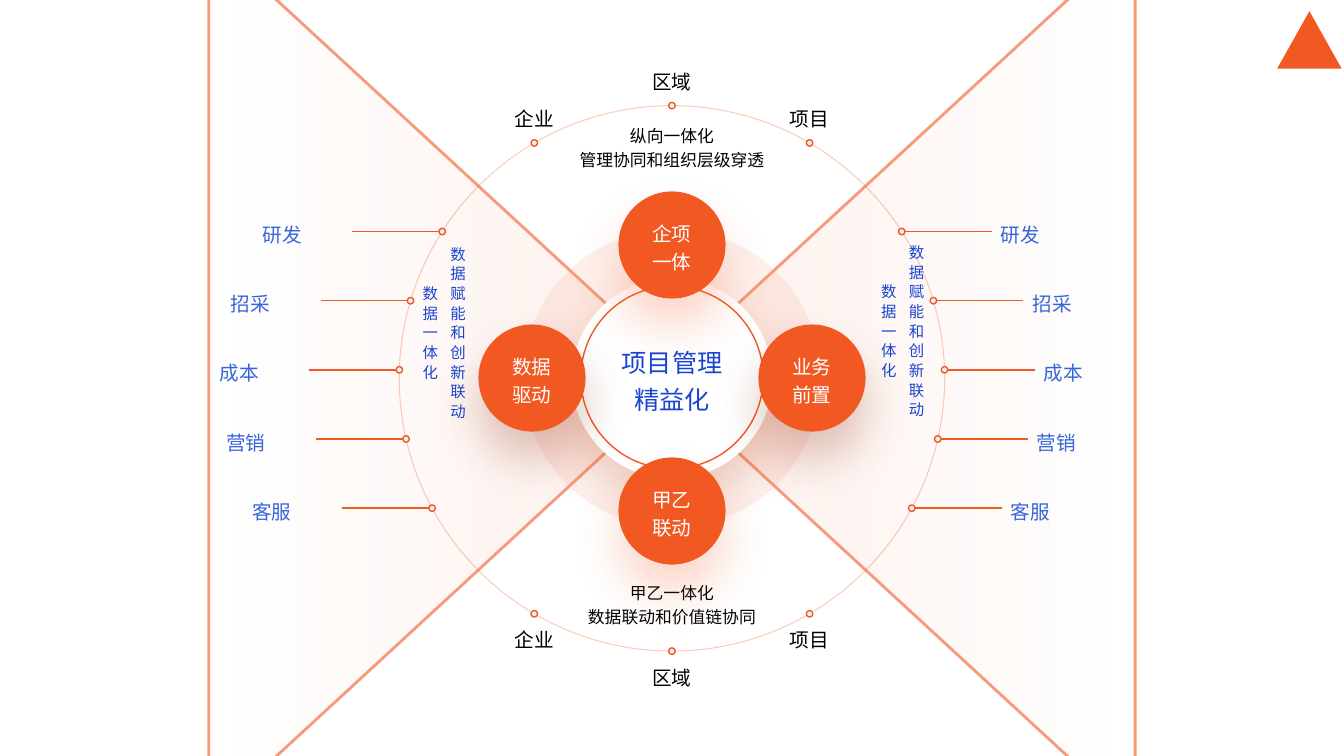
from math import sqrt

from lxml import etree
from pptx import Presentation
from pptx.dml.color import RGBColor
from pptx.enum.shapes import MSO_CONNECTOR, MSO_SHAPE
from pptx.enum.text import MSO_ANCHOR, MSO_AUTO_SIZE, PP_ALIGN
from pptx.oxml import parse_xml
from pptx.oxml.ns import qn
from pptx.util import Pt

OVAL, TRIANGLE = MSO_SHAPE.OVAL, MSO_SHAPE.ISOSCELES_TRIANGLE
STRAIGHT = MSO_CONNECTOR.STRAIGHT
MIDDLE, FIT = MSO_ANCHOR.MIDDLE, MSO_AUTO_SIZE.SHAPE_TO_FIT_TEXT
LEFT, CENTER = PP_ALIGN.LEFT, PP_ALIGN.CENTER
DRAWING = "http://schemas.openxmlformats.org/drawingml/2006/main"
FONT = "Calibri"

COLORS = {
    "orange": "F25822", "edge": "F79A7A", "halo": "FCDED3", "white": "FFFFFF",
    "dot": "EBF0F9", "blue": "1A45D1", "label": "3665D9", "black": "000000",
    "soft shadow": "AE340A", "dark shadow": "822808", "warm shadow": "F3602D",
}

CORE = "项目管理\n精益化"
PILLARS = [
    ("业务\n前置", 100, 0, "dark shadow"),
    ("数据\n驱动", -100, 0, "dark shadow"),
    ("甲乙\n联动", 0, 95, "warm shadow"),
    ("企项\n一体", 0, -95, "warm shadow"),
]
FUNCTIONS = ["研发", "招采", "成本", "营销", "客服"]
LEVELS = [("企业", -98.3), ("区域", 0), ("项目", 98.3)]
CAPTIONS = [
    ("纵向一体化\n管理协同和组织层级穿透", 104, 148),
    ("甲乙一体化\n数据联动和价值链协同", 430, 136),
]
DATA_TEXT = "数据赋能和创新联动\n数据一体化"
DATA_BOXES = [(288.7, 169.2), (616.3, 167.8)]

WIDTH, HEIGHT = 960, 540
MID_X, MID_Y = 480, 270.3
RADIUS = 194.8
DOT = 4.6
FIRST_ROW, ROW_GAP = 165.4, 49.4
LEADER, LABEL_WIDTH, LABEL_HEIGHT = 62, 70.6, 26
WING_BASE, WING_DEPTH, WING_OFFSET = 629.3, 341.3, 160.2

deck = Presentation()
deck.slide_width, deck.slide_height = Pt(WIDTH), Pt(HEIGHT)
page = deck.slides.add_slide(deck.slide_layouts[6])


def color(name):
    return RGBColor.from_string(COLORS[name])


def set_alpha(fill_parent, percent):
    tint = fill_parent.find(".//" + qn("a:srgbClr"))
    etree.SubElement(tint, qn("a:alpha")).set("val", str(percent * 1000))


def add_figure(kind, x, y, width, height, fill=None, line=None, weight=1):
    figure = page.shapes.add_shape(kind, Pt(x - width / 2), Pt(y - height / 2), Pt(width), Pt(height))
    figure.shadow.inherit = False
    if fill:
        figure.fill.solid()
        figure.fill.fore_color.rgb = color(fill)
    else:
        figure.fill.background()
    if line:
        figure.line.color.rgb = color(line)
        figure.line.width = Pt(weight)
    else:
        figure.line.fill.background()
    return figure


def add_circle(x, y, size, fill=None, line=None, weight=1):
    return add_figure(OVAL, x, y, size, size, fill, line, weight)


def add_shadow(figure, name, alpha, blur, distance):
    effects = figure._element.spPr.find(qn("a:effectLst"))
    effects.append(parse_xml(
        f'<a:outerShdw xmlns:a="{DRAWING}" blurRad="{Pt(blur)}" dist="{Pt(distance)}" '
        f'dir="5400000" algn="t" rotWithShape="0"><a:srgbClr val="{COLORS[name]}">'
        f'<a:alpha val="{alpha * 1000}"/></a:srgbClr></a:outerShdw>'))


def write(frame, text, size, name, align=CENTER, spacing=1.0):
    frame.text = text
    for para in frame.paragraphs:
        para.alignment = align
        para.line_spacing = spacing
        for span in para.runs:
            span.font.name = FONT
            span.font.size = Pt(size)
            span.font.color.rgb = color(name)


def add_text(text, x, y, width, height, size, name, align=CENTER, spacing=1.0, wrap=False):
    box = page.shapes.add_textbox(Pt(x - width / 2), Pt(y - height / 2), Pt(width), Pt(height))
    frame = box.text_frame
    frame.word_wrap = wrap
    frame.auto_size = FIT
    write(frame, text, size, name, align, spacing)
    return frame


def add_dot(x, y):
    add_circle(x, y, DOT, "dot", "orange")


def add_wing(side):
    wing = add_figure(TRIANGLE, MID_X + side * WING_OFFSET, HEIGHT / 2, WING_BASE, WING_DEPTH, "orange", "edge", 2)
    wing.rotation = 270 if side > 0 else 90
    stops = "".join(
        f'<a:gs pos="{place}"><a:srgbClr val="{COLORS["orange"]}"><a:alpha val="{alpha}"/></a:srgbClr></a:gs>'
        for place, alpha in [(0, 10000), (100000, 0)])
    solid = wing._element.spPr.find(qn("a:solidFill"))
    solid.getparent().replace(solid, parse_xml(
        f'<a:gradFill xmlns:a="{DRAWING}" rotWithShape="1"><a:gsLst>{stops}</a:gsLst>'
        '<a:lin ang="5400000" scaled="0"/></a:gradFill>'))


def add_function(text, row, side):
    y = FIRST_ROW + row * ROW_GAP
    dot_x = MID_X + side * sqrt(RADIUS ** 2 - (y - MID_Y) ** 2)
    start = dot_x + side * DOT / 2
    end = start + side * LEADER
    frame = add_text(text, end + side * LABEL_WIDTH / 2, y, LABEL_WIDTH, LABEL_HEIGHT,
                     14, "label", LEFT, 1.2, True)
    frame.margin_left = frame.margin_right = Pt(6.5)
    leader = page.shapes.add_connector(STRAIGHT, Pt(end), Pt(y), Pt(start), Pt(y))
    leader.line.color.rgb = color("orange")
    leader.line.width = Pt(1)
    etree.SubElement(leader._element.spPr, qn("a:effectLst"))
    add_dot(dot_x, y)


add_figure(TRIANGLE, 935.3, 28.5, 46, 41, "orange")

halo = add_circle(MID_X, MID_Y, 213, "halo")
set_alpha(halo._element.spPr, 43)
for side in (1, -1):
    add_wing(side)
hub = add_circle(MID_X, MID_Y, 143.3, "white")
add_shadow(hub, "soft shadow", 18, 29, 16)
orbit = add_circle(MID_X, MID_Y, RADIUS * 2, None, "orange", 0.75)
set_alpha(orbit._element.spPr.find(qn("a:ln")), 30)

add_text(CORE, MID_X, 269.6, 87, 58, 18, "blue", spacing=1.2)
for left, top in DATA_BOXES:
    frame = add_text(DATA_TEXT, left + 27.4, top + 101.5, 54.8, 203, 11, "blue", spacing=1.5, wrap=True)
    frame._txBody.bodyPr.set("vert", "eaVert")
    for para in frame.paragraphs:
        for span in para.runs:
            span.font._element.set("spc", "300")
for text, y, width in CAPTIONS:
    add_text(text, MID_X, y, width, 41, 12, "black", spacing=1.2)

for side in (1, -1):
    for row, text in enumerate(FUNCTIONS):
        add_function(text, row, side)

add_circle(MID_X, MID_Y - 0.7, 130.3, None, "orange")
for text, shift_x, shift_y, shadow in PILLARS:
    pillar = add_circle(MID_X + shift_x, HEIGHT / 2 + shift_y, 76.5, "orange")
    add_shadow(pillar, shadow, 25, 35, 20)
    frame = pillar.text_frame
    frame.word_wrap = False
    frame.vertical_anchor = MIDDLE
    frame.margin_left = frame.margin_right = frame.margin_top = frame.margin_bottom = 0
    write(frame, text, 14, "white", spacing=1.2)

for side, gap in ((-1, 17), (1, 19)):
    for text, shift_x in LEVELS:
        y = MID_Y + side * sqrt(RADIUS ** 2 - shift_x ** 2)
        add_text(text, MID_X + shift_x, y + side * gap, 42.5, 24.5, 14, "black")
        add_dot(MID_X + shift_x, y)

deck.save("out.pptx")
